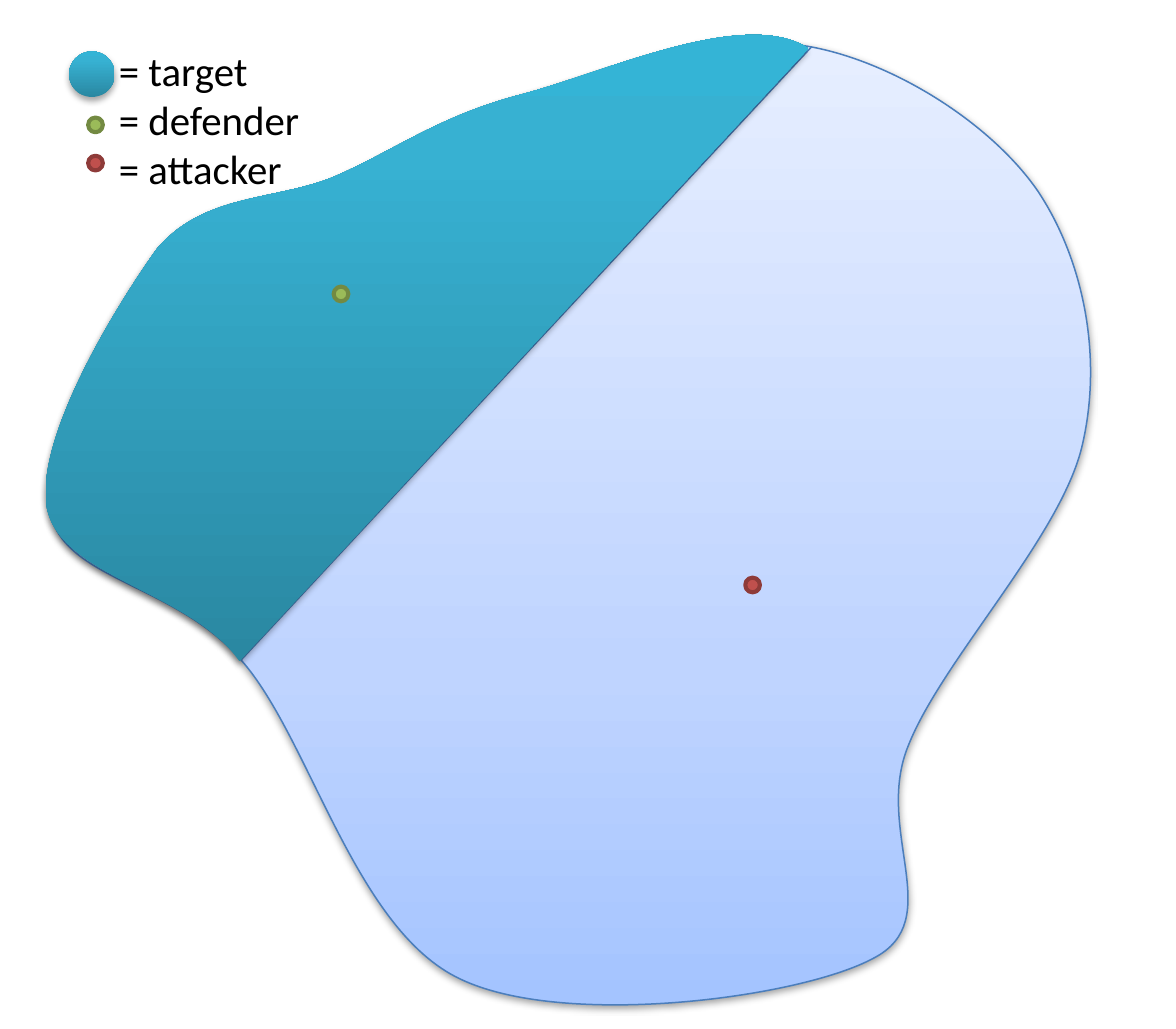
from lxml import etree
from pptx import Presentation
from pptx.dml.color import RGBColor
from pptx.enum.shapes import MSO_CONNECTOR, MSO_SHAPE
from pptx.enum.text import MSO_AUTO_SIZE
from pptx.oxml.ns import qn
from pptx.util import Emu, Pt

OVAL = MSO_SHAPE.OVAL
STRAIGHT = MSO_CONNECTOR.STRAIGHT
GROW = MSO_AUTO_SIZE.SHAPE_TO_FIT_TEXT

PX = 9144  # 100 px to the inch
DOT = 10

TEAL = [(0, "2A88A2"), (80, "37B1D2"), (100, "34B4D6")]
PALE_BLUE = [(0, "A4C4FF"), (35, "BFD4FF"), (100, "E6EEFF")]
BLUE = "4B7EBC"
DEFENDER = ("9BBB59", "738A42")
ATTACKER = ("C0504D", "8E3B39")

# Each outline lists its start, then curves (three points) or lines (one point).
REGION_BOX = (33, 30, 709, 654)
REGION = [
    [(354, 66)],
    [(407, 50), (493, 21), (552, 32)],
    [(610, 43), (675, 85), (706, 130)],
    [(736, 175), (751, 241), (736, 304)],
    [(721, 366), (641, 449), (618, 507)],
    [(594, 565), (645, 626), (594, 652)],
    [(544, 679), (384, 700), (313, 666)],
    [(241, 632), (211, 502), (164, 449)],
    [(118, 396), (43, 395), (34, 348)],
    [(25, 302), (78, 206), (111, 168)],
    [(144, 131), (191, 140), (232, 123)],
    [(272, 106), (301, 81), (354, 66)],
]
TARGET_BOX = (31, 23, 519, 426)
TARGET = [
    [(352, 65)],
    [(408, 51), (506, 4), (550, 33)],
    [(163, 450)],
    [(129, 402), (42, 393), (32, 346)],
    [(23, 299), (79, 208), (107, 169)],
    [(140, 131), (187, 137), (228, 120)],
    [(269, 102), (297, 80), (352, 65)],
]


def px(n):
    return Emu(n * PX)


def rgb(color):
    return RGBColor.from_string(color)


class Canvas:
    def __init__(self, slide, font="Calibri", size=20, color="000000"):
        self.shapes = slide.shapes
        self.font, self.size, self.color = font, size, color

    def gradient(self, s, stops):
        """Fill s with stops that run from bottom to top."""
        s.fill.gradient()
        s.fill.gradient_angle = 90
        gs_list = s._element.spPr.find(".//" + qn("a:gsLst"))
        for gs in list(gs_list):
            gs_list.remove(gs)
        for percent, color in stops:
            gs = etree.SubElement(gs_list, qn("a:gs"), pos=str(percent * 1000))
            etree.SubElement(gs, qn("a:srgbClr"), val=color)

    def shadow(self, s, alpha, dist):
        s.shadow.inherit = False
        effects = s._element.spPr.find(qn("a:effectLst"))
        outer = etree.SubElement(effects, qn("a:outerShdw"), blurRad="40000",
                                 dist=str(dist), dir="5400000", rotWithShape="0")
        color = etree.SubElement(outer, qn("a:srgbClr"), val="000000")
        etree.SubElement(color, qn("a:alpha"), val=str(alpha * 1000))

    def outline(self, s, color, width):
        if color is None:
            s.line.fill.background()
        else:
            s.line.color.rgb = rgb(color)
            s.line.width = Pt(width)

    def bend(self, s, box, segments):
        """Fit s to box and turn its three-point segments into curves."""
        x, y, w, h = box
        s.left, s.top, s.width, s.height = (px(n) for n in box)
        contour = s._element.spPr.find(".//" + qn("a:path"))
        contour.set("w", str(px(w)))
        contour.set("h", str(px(h)))
        for step, points in zip(list(contour), segments):
            if len(points) == 3:
                curve = etree.Element(qn("a:cubicBezTo"))
                contour.replace(step, curve)
                step = curve
            for pt in list(step):
                step.remove(pt)
            for pt_x, pt_y in points:
                etree.SubElement(step, qn("a:pt"), x=str(px(pt_x - x)),
                                 y=str(px(pt_y - y)))

    def region(self, box, segments, stops, line, alpha, dist):
        start, *ends = [points[-1] for points in segments]
        builder = self.shapes.build_freeform(*start, scale=PX)
        builder.add_line_segments(ends, close=True)
        s = builder.convert_to_shape()
        self.bend(s, box, segments)
        self.gradient(s, stops)
        self.outline(s, line, 0.75)
        self.shadow(s, alpha, dist)

    def line(self, x1, y1, x2, y2, color):
        s = self.shapes.add_connector(STRAIGHT, px(x1), px(y1), px(x2), px(y2))
        self.outline(s, color, 0.75)
        etree.SubElement(s._element.spPr, qn("a:effectLst"))

    def dot(self, x, y, colors):
        fill, line = colors
        s = self.shapes.add_shape(OVAL, px(x), px(y), px(DOT), px(DOT))
        s.shadow.inherit = False
        s.fill.solid()
        s.fill.fore_color.rgb = rgb(fill)
        self.outline(s, line, 2)

    def disc(self, x, y, size, stops):
        s = self.shapes.add_shape(OVAL, px(x), px(y), px(size), px(size))
        self.gradient(s, stops)
        self.outline(s, None, 0)
        self.shadow(s, 35, 23000)

    def text(self, x, y, w, h, lines):
        tf = self.shapes.add_textbox(px(x), px(y), px(w), px(h)).text_frame
        tf.word_wrap = True
        tf.auto_size = GROW
        for i, line in enumerate(lines):
            p = tf.add_paragraph() if i else tf.paragraphs[0]
            r = p.add_run()
            r.text = line
            r.font.name, r.font.size = self.font, Pt(self.size)
            r.font.color.rgb = rgb(self.color)


def main():
    prs = Presentation()
    prs.slide_width, prs.slide_height = px(800), px(700)
    c = Canvas(prs.slides.add_slide(prs.slide_layouts[6]))

    c.region(REGION_BOX, REGION, PALE_BLUE, BLUE, 38, 20000)
    c.line(552, 32, 164, 449, BLUE)

    c.text(71, 26, 207, 111, ["= target", "= defender", "= attacker"])
    c.disc(47, 35, 31, TEAL)
    c.dot(60, 80, DEFENDER)
    c.dot(60, 106, ATTACKER)

    c.region(TARGET_BOX, TARGET, TEAL, None, 35, 23000)
    c.dot(227, 195, DEFENDER)
    c.dot(507, 393, ATTACKER)

    prs.save("out.pptx")


if __name__ == "__main__":
    main()
